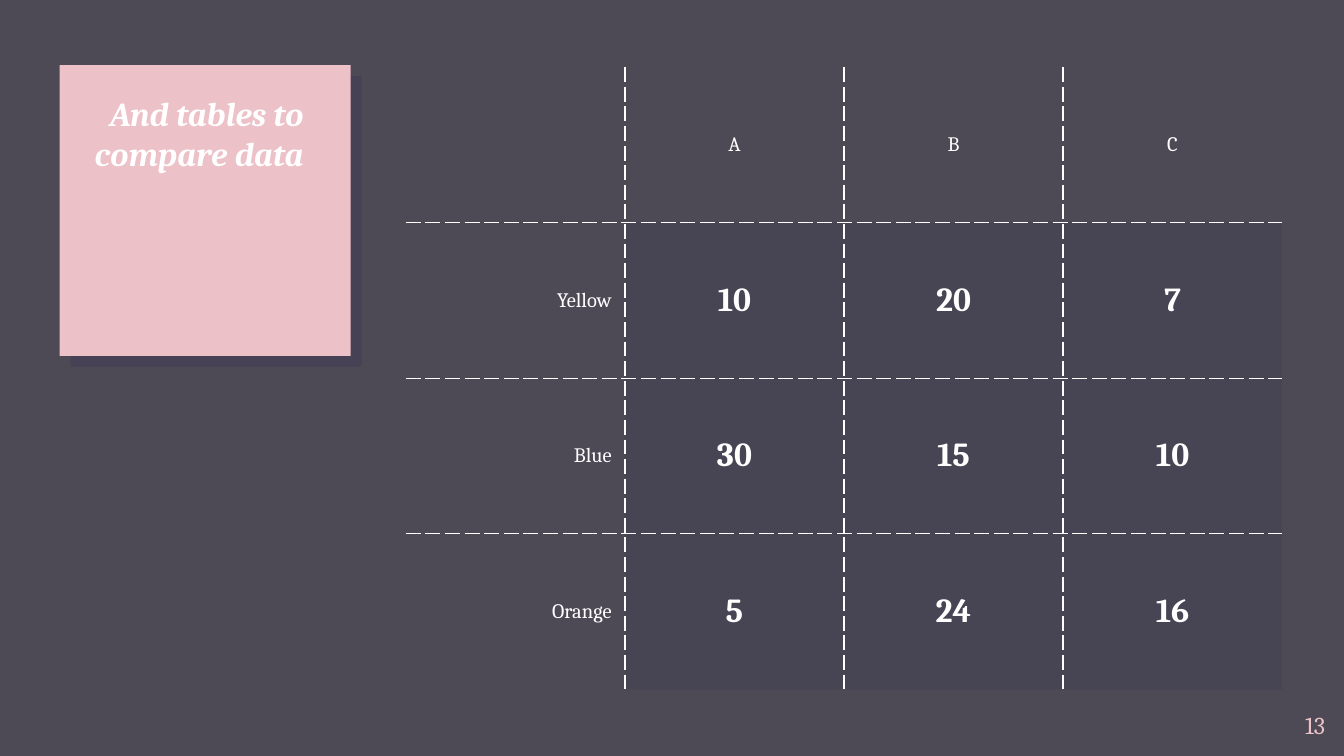
from lxml.etree import SubElement
from pptx import Presentation
from pptx.dml.color import RGBColor
from pptx.enum.shapes import MSO_SHAPE
from pptx.enum.text import MSO_ANCHOR, PP_ALIGN
from pptx.oxml import parse_xml
from pptx.oxml.ns import nsdecls, qn
from pptx.util import Cm, Pt

# Content
TITLE = "And tables to compare data"
PAGE = "13"
ROWS = [
    ("", "A", "B", "C"),
    ("Yellow", "10", "20", "7"),
    ("Blue", "30", "15", "10"),
    ("Orange", "5", "24", "16"),
]

# Look
FONT = "Cambria"
WHITE = RGBColor(0xFF, 0xFF, 0xFF)
PINK = RGBColor(0xEC, 0xC1, 0xC8)
GREY = RGBColor(0x4D, 0x4A, 0x56)
NAVY = RGBColor(0x1B, 0x1B, 0x46)
SHADOW = RGBColor(0x20, 0x12, 0x4D)
LABEL = {"size": Pt(11), "color": WHITE}
VALUE = {"size": Pt(18), "color": WHITE, "bold": True}
HEADING = {**VALUE, "italic": True}
NUMBER = {"size": Pt(13), "color": PINK}
NO_STYLE = "{2D5ABB26-0587-4C30-8999-92F81FD0307C}"
COL_W, ROW_H = Cm(4.14), Cm(2.94)


def write(tf, text, fmt, align):
    p = tf.paragraphs[0]
    p.alignment = align
    r = p.add_run()
    r.text = text
    for name, value in {"name": FONT, **fmt}.items():
        if name == "color":
            r.font.color.rgb = value
        else:
            setattr(r.font, name, value)


def add_text(box, text, fmt):
    tf = s.shapes.add_textbox(*(Cm(v) for v in box)).text_frame
    tf.word_wrap = True
    for side in ("left", "top", "right", "bottom"):
        setattr(tf, f"margin_{side}", Cm(0.25))
    write(tf, text, fmt, PP_ALIGN.RIGHT)


def border(side, shown):
    paint = (f'<a:solidFill><a:srgbClr val="{WHITE}"/></a:solidFill><a:prstDash val="dash"/>'
             if shown else "<a:noFill/>")
    return parse_xml(f'<a:ln{side} {nsdecls("a")} w="{Pt(0.75)}">{paint}</a:ln{side}>')


prs = Presentation()
prs.slide_width, prs.slide_height = Cm(25.4), Cm(14.29)
s = prs.slides.add_slide(prs.slide_layouts[6])
s.background.fill.solid()
s.background.fill.fore_color.rgb = GREY

# Pink card with an offset shadow
card = s.shapes.add_shape(MSO_SHAPE.RECTANGLE, Cm(1.13), Cm(1.23), Cm(5.5), Cm(5.5))
card.fill.solid()
card.fill.fore_color.rgb = PINK
card.line.fill.background()
card.shadow.inherit = False
card._element.spPr.find(qn("a:effectLst")).append(parse_xml(
    f'<a:outerShdw {nsdecls("a")} dist="{Pt(8.2)}" dir="2700000" algn="bl" rotWithShape="0">'
    f'<a:srgbClr val="{SHADOW}"><a:alpha val="15000"/></a:srgbClr></a:outerShdw>'))

# Title and page number
add_text((1.19, 1.5, 4.8, 4.5), TITLE, HEADING)
add_text((23.77, 13.18, 1.52, 1.09), PAGE, NUMBER)

# Table: dashed inner lines, tinted values
n_rows, n_cols = len(ROWS), len(ROWS[0])
frame = s.shapes.add_table(n_rows, n_cols, Cm(7.67), Cm(1.27), COL_W * n_cols, ROW_H * n_rows)
table = frame.table
table.first_row = table.horz_banding = False
table._tbl.tblPr.find(qn("a:tableStyleId")).text = NO_STYLE
for i, row in enumerate(ROWS):
    for j, text in enumerate(row):
        cell = table.cell(i, j)
        cell.vertical_anchor = MSO_ANCHOR.MIDDLE
        cell.margin_left = cell.margin_right = Cm(0.25)
        cell.margin_top = cell.margin_bottom = Cm(0.18)
        is_value = i > 0 and j > 0
        if text:
            write(cell.text_frame, text, VALUE if is_value else LABEL,
                  PP_ALIGN.CENTER if j else PP_ALIGN.RIGHT)
        tcPr = cell._tc.get_or_add_tcPr()
        if is_value:
            cell.fill.solid()
            cell.fill.fore_color.rgb = NAVY
            SubElement(next(tcPr.iter(qn("a:srgbClr"))), qn("a:alpha"), val="10000")
        else:
            cell.fill.background()
        inner = {"L": j > 0, "R": j < n_cols - 1, "T": i > 0, "B": i < n_rows - 1}
        for k, (side, shown) in enumerate(inner.items()):
            tcPr.insert(k, border(side, shown))

prs.save("out.pptx")
